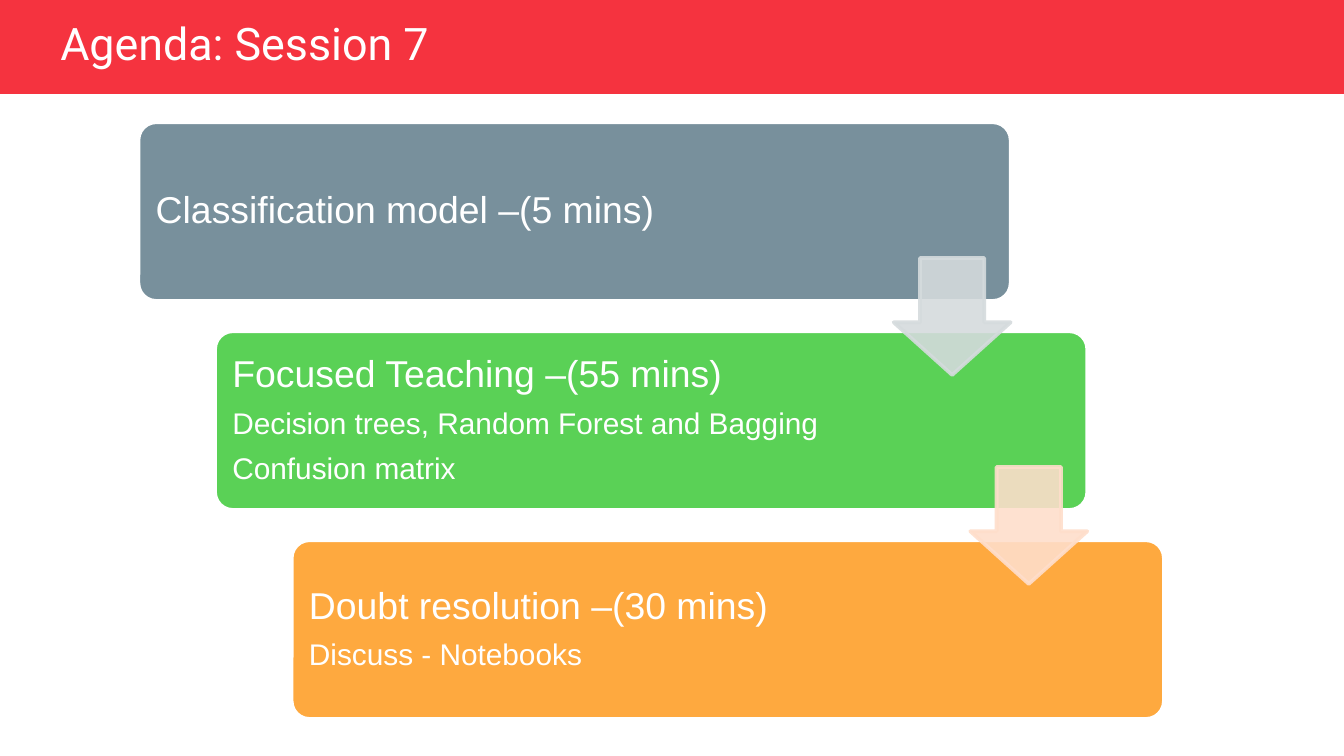
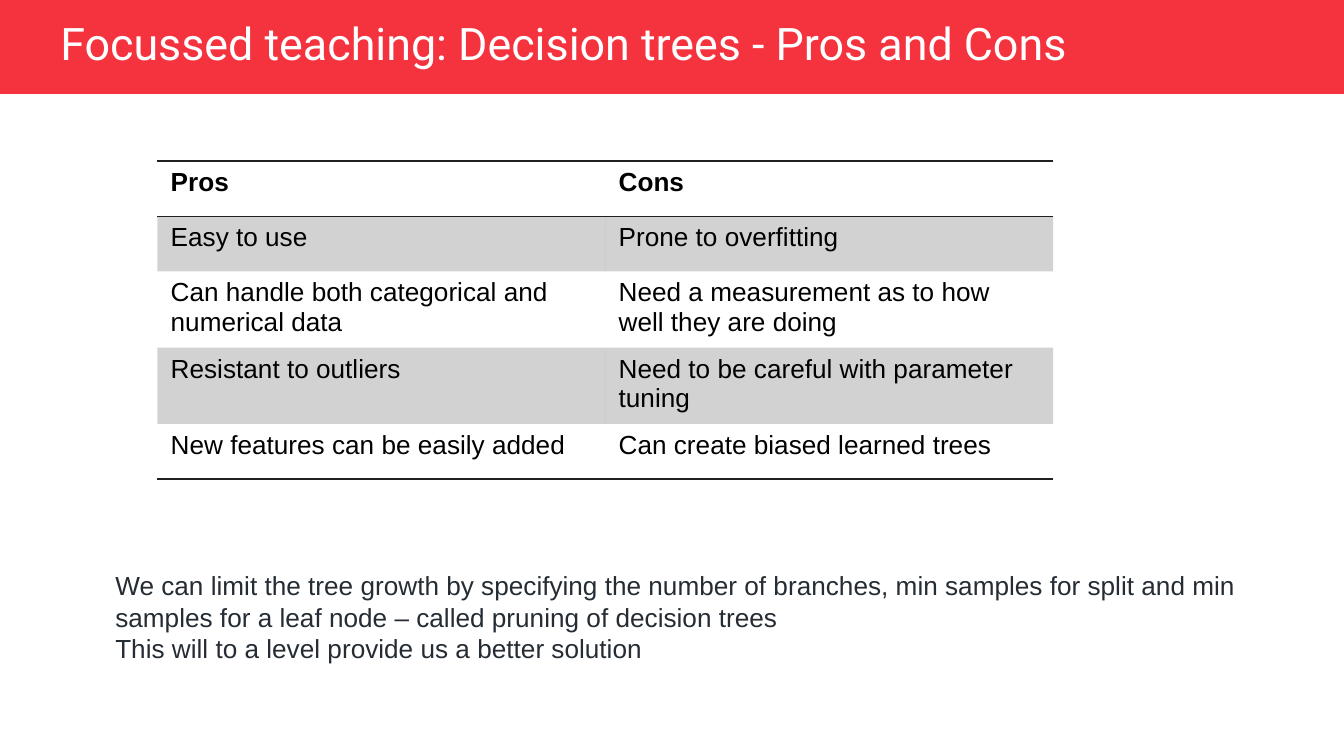
from lxml.etree import SubElement
from pptx import Presentation
from pptx.dml.color import RGBColor as RGB
from pptx.enum.shapes import MSO_SHAPE as SHAPE
from pptx.enum.text import MSO_ANCHOR as ANCHOR, PP_ALIGN as ALIGN
from pptx.oxml import parse_xml
from pptx.oxml.ns import nsdecls, qn
from pptx.util import Inches, Pt

HUE = {
    "band": "F5333F", "white": "FFFFFF", "black": "000000", "body": "252C33",
    "rule": "212121", "slate": "78909C", "green": "5AD156", "amber": "FEA93F",
    "mist": "D5DBDD", "peach": "FEDECB",
}
PLAIN = "{2D5ABB26-0587-4C30-8999-92F81FD0307C}"  # table style without lines


def write(frame, lines, hue, font="Arial", bold=False, lead=None, gap=0):
    """Fill a text frame with (text, size) lines, one paragraph each."""
    frame.word_wrap = True
    for i, (text, size) in enumerate(lines):
        para = frame.paragraphs[0] if i == 0 else frame.add_paragraph()
        para.alignment = ALIGN.LEFT
        para.line_spacing = lead
        para.space_before = Pt(gap if i else 0)
        run = para.add_run()
        run.text = text
        run.font.size = Pt(size)
        run.font.name = font
        run.font.bold = bold
        run.font.color.rgb = RGB.from_string(HUE[hue])


def fade(root, share):
    """Give every colour below root this opacity in percent."""
    for node in root.iter(qn("a:srgbClr")):
        SubElement(node, qn("a:alpha"), val=str(share * 1000))


deck = Presentation()
deck.slide_width = Inches(10)
deck.slide_height = Inches(10) * 9 // 16

# Title band on each slide
pages = []
for title, wide in [
    ("Agenda: Session 7", 4.09),
    ("Focussed teaching: Decision trees - Pros and Cons", 8.18),
]:
    page = deck.slides.add_slide(deck.slide_layouts[6])
    band = page.shapes.add_shape(SHAPE.RECTANGLE, 0, 0, Inches(10), Inches(0.7))
    band.shadow.inherit = False
    band.fill.solid()
    band.fill.fore_color.rgb = RGB.from_string(HUE["band"])
    band.line.fill.background()
    head = page.shapes.add_textbox(
        Inches(0.35), Inches(0.13), Inches(wide), Inches(0.42))
    head.text_frame.vertical_anchor = ANCHOR.MIDDLE
    write(head.text_frame, [(title, 24)], "white", "Roboto", lead=0.9)
    pages.append(page)
agenda, trees = pages

# Agenda: three steps going down and right, then the arrows between them
steps = [
    ("slate", [("Classification model –(5 mins)", 20)]),
    ("green", [("Focused Teaching –(55 mins)", 20),
               ("Decision trees, Random Forest and Bagging", 16),
               ("Confusion matrix", 16)]),
    ("amber", [("Doubt resolution –(30 mins)", 20),
               ("Discuss - Notebooks", 16)]),
]
DX, DY = 0.57, 1.555
for i, (hue, lines) in enumerate(steps):
    box = agenda.shapes.add_shape(
        SHAPE.ROUNDED_RECTANGLE, Inches(1.03 + i * DX), Inches(0.91 + i * DY),
        Inches(6.49), Inches(1.33))
    box.adjustments[0] = 0.1
    box.shadow.inherit = False
    box.fill.solid()
    box.fill.fore_color.rgb = RGB.from_string(HUE[hue])
    box.line.color.rgb = RGB.from_string(HUE["white"])
    box.line.width = Pt(2)
    frame = box.text_frame
    frame.vertical_anchor = ANCHOR.MIDDLE
    frame.margin_left = frame.margin_top = frame.margin_bottom = Inches(0.09)
    frame.margin_right = Inches(1.53)
    write(frame, lines, "white", lead=0.9, gap=7)

for i, hue in enumerate(["mist", "peach"]):
    arrow = agenda.shapes.add_shape(
        SHAPE.DOWN_ARROW, Inches(6.65 + i * DX), Inches(1.92 + i * DY),
        Inches(0.87), Inches(0.87))
    arrow.adjustments[0] = 0.55
    arrow.adjustments[1] = 0.45
    arrow.shadow.inherit = False
    arrow.fill.solid()
    arrow.fill.fore_color.rgb = RGB.from_string(HUE[hue])
    arrow.line.color.rgb = RGB.from_string(HUE[hue])
    arrow.line.width = Pt(2)
    fade(arrow.element.spPr, 89)

# Pros and cons table
rows = [
    ("Pros", "Cons"),
    ("Easy to use", "Prone to overfitting"),
    ("Can handle both categorical and numerical data",
     "Need a measurement as to how well they are doing"),
    ("Resistant to outliers", "Need to be careful with parameter tuning"),
    ("New features can be easily added", "Can create biased learned trees"),
]
grid = trees.shapes.add_table(
    len(rows), 2, Inches(1.17), Inches(1.2), Inches(6.66), Inches(2.05)).table
grid.first_row = grid.horz_banding = False
grid._tbl.tblPr.find(qn("a:tableStyleId")).text = PLAIN
for col in grid.columns:
    col.width = Inches(10 / 3)
ruled = {0: "TB", len(rows) - 1: "B"}
for r, row in enumerate(rows):
    grid.rows[r].height = Inches(0.41)
    for c, text in enumerate(row):
        cell = grid.cell(r, c)
        cell.margin_left = cell.margin_right = Inches(0.1)
        cell.margin_top = cell.margin_bottom = Inches(0.05)
        write(cell.text_frame, [(text, 14)], "black", bold=r == 0)
        prop = cell._tc.get_or_add_tcPr()
        if r % 2:
            cell.fill.solid()
            cell.fill.fore_color.rgb = RGB.from_string(HUE["rule"])
            fade(prop, 20)
        else:
            cell.fill.background()
        for k, side in enumerate(ruled.get(r, "")):
            prop.insert(k, parse_xml(
                f'<a:ln{side} {nsdecls("a")} w="{Pt(1)}"><a:solidFill>'
                f'<a:srgbClr val="{HUE["rule"]}"/></a:solidFill></a:ln{side}>'))

# Note on pruning
note = trees.shapes.add_textbox(
    Inches(0.76), Inches(4.19), Inches(8.97), Inches(0.81))
write(note.text_frame, [
    ("We can limit the tree growth by specifying the number of branches, "
     "min samples for split and min samples for a leaf node – called pruning "
     "of decision trees", 14),
    ("This will to a level provide us a better solution", 14),
], "body")

deck.save("out.pptx")
